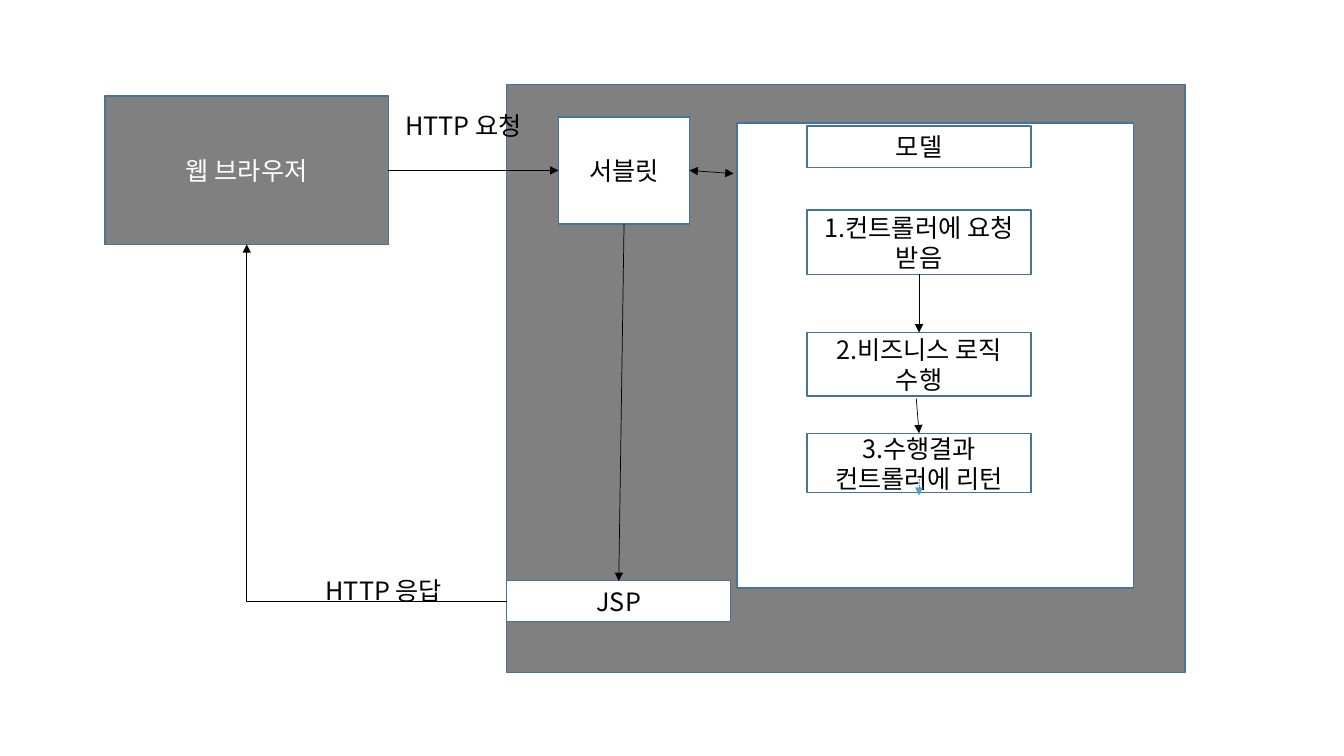
from pptx import Presentation, util as u
from pptx.dml.color import RGBColor
from pptx.enum import dml, shapes, text
from pptx.oxml.ns import qn
from lxml import etree

FONT = "Noto Sans CJK KR"
GRAY = RGBColor(0x80, 0x80, 0x80)
WHITE = RGBColor(0xFF, 0xFF, 0xFF)
BLACK = RGBColor(0, 0, 0)
BORDER = RGBColor(0x43, 0x73, 0x9E)
BLUE = RGBColor(0x5B, 0x9B, 0xD5)

presentation = Presentation()
presentation.slide_width, presentation.slide_height = u.Pt(960), u.Pt(540)
slide = presentation.slides.add_slide(presentation.slide_layouts[6])


def write(shape, label, color, alignment):
    shape.text_frame.word_wrap = True
    paragraph = shape.text_frame.paragraphs[0]
    paragraph.alignment = alignment
    run = paragraph.add_run()
    run.text = label
    run.font.color.rgb = color
    for name, value in {"name": FONT, "size": u.Pt(18)}.items():
        setattr(run.font, name, value)
    etree.SubElement(run.font._element, qn("a:ea"), typeface=FONT)


def connect(kind, points, color=BLACK, ends=("tailEnd",)):
    connector = slide.shapes.add_connector(kind, *map(u.Pt, points))
    connector.line.width = u.Pt(0.5)
    connector.line.color.rgb = color
    for end in ends:
        etree.SubElement(connector.line._get_or_add_ln(), qn(f"a:{end}"), type="triangle")
    etree.SubElement(connector._element.spPr, qn("a:effectLst"))
    return connector


# Boxes, back to front: browser, server, model panel, model steps, view, controller
STEP_LEFT, STEP_WIDTH = 576.5, 160
boxes = [
    ("웹 브라우저", 75, 68.5, 202.5, 106, GRAY, WHITE),
    ("", 362, 60.5, 484.5, 420, GRAY, WHITE),
    ("", 526.5, 88, 283, 332, WHITE, BLACK),
]
for label, top, height in [
    ("모델", 90, 29.5),
    ("1.컨트롤러에 요청 받음", 150, 46),
    ("2.비즈니스 로직 수행", 237.5, 45.5),
    ("3.수행결과 컨트롤러에 리턴", 309.5, 42.5),
]:
    boxes.append((label, STEP_LEFT, top, STEP_WIDTH, height, WHITE, BLACK))
boxes += [
    ("JSP", 362, 414.5, 160, 29.5, WHITE, BLACK),
    ("서블릿", 399, 83.5, 93.5, 76.5, WHITE, BLACK),
]
for label, left, top, width, height, fill, color in boxes:
    box = slide.shapes.add_shape(
        shapes.MSO_SHAPE.RECTANGLE, *map(u.Pt, (left, top, width, height)))
    box.shadow.inherit = False
    box.fill.solid()
    box.fill.fore_color.rgb = fill
    box.line.color.rgb = BORDER
    box.line.width = u.Pt(1)
    if label:
        box.text_frame.vertical_anchor = text.MSO_ANCHOR.MIDDLE
        write(box, label, color, text.PP_ALIGN.CENTER)

# Short dashed arrow at the last step
STRAIGHT = shapes.MSO_CONNECTOR.STRAIGHT
step_end = connect(STRAIGHT, (656.5, 342, 656.5, 354), BLUE)
step_end.line.dash_style = dml.MSO_LINE.SQUARE_DOT

# Arrows: step 1 to 2, step 2 to 3, servlet to JSP, browser to servlet
for points in [
    (656.5, 196, 656.5, 237.5),
    (654.5, 284.5, 656.5, 309.5),
    (445.75, 160, 442, 415),
    (277.5, 121.75, 399, 121.75),
]:
    connect(STRAIGHT, points)
connect(STRAIGHT, (492.5, 121.75, 524, 124), ends=("headEnd", "tailEnd"))

# Response path: left from JSP, then up to the browser
response = connect(shapes.MSO_CONNECTOR.ELBOW, (176.25, 174.5, 362, 429.5))
geometry = response._element.spPr.find(qn("a:prstGeom"))
geometry.set("prst", "bentConnector2")
response._element.spPr.find(qn("a:xfrm")).set("rot", "10800000")

# Message labels
for label, left, top in [("HTTP 요청", 282.5, 75.5), ("HTTP 응답", 225.5, 407.5)]:
    message = slide.shapes.add_textbox(*map(u.Pt, (left, top, 111.5, 29)))
    message.text_frame.auto_size = text.MSO_AUTO_SIZE.SHAPE_TO_FIT_TEXT
    write(message, label, BLACK, text.PP_ALIGN.LEFT)

presentation.save("out.pptx")
